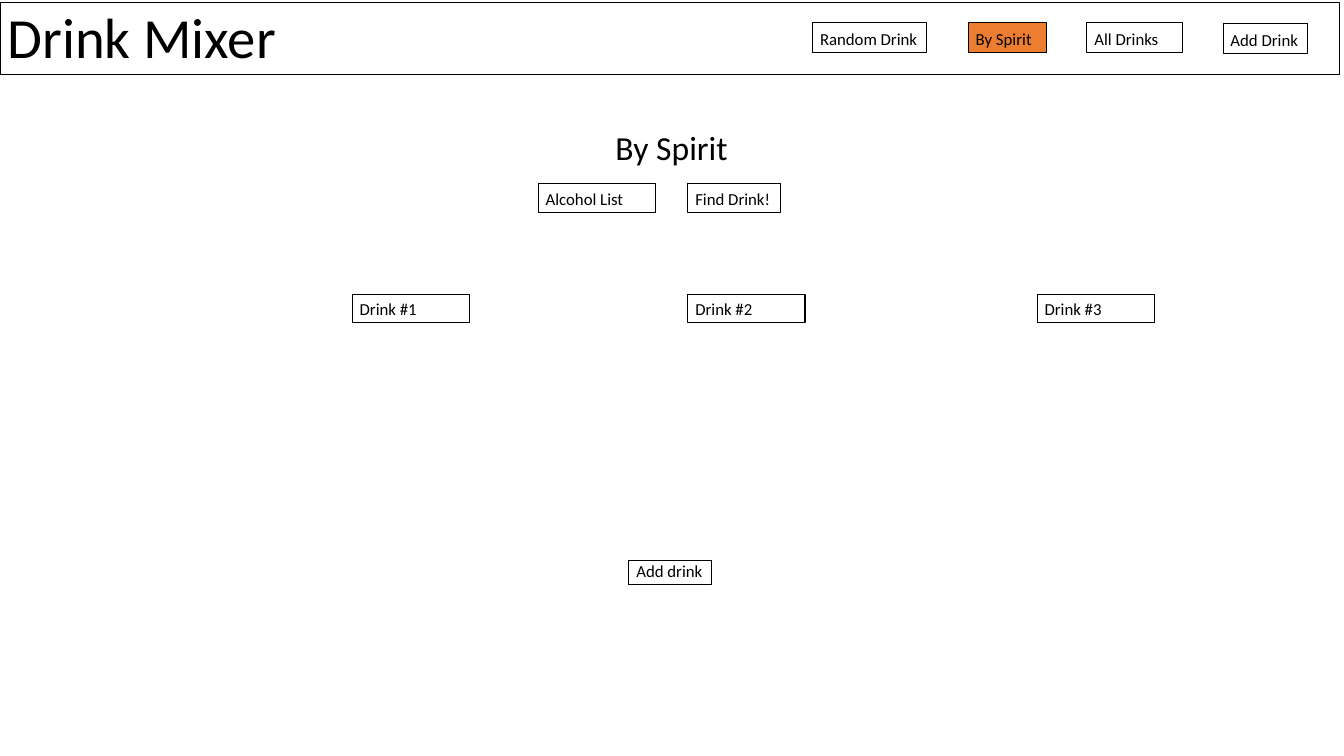
from pptx import Presentation
from pptx.dml.color import RGBColor
from pptx.enum.shapes import MSO_SHAPE as Shape
from pptx.enum.text import MSO_ANCHOR as Anchor, MSO_AUTO_SIZE as AutoSize, PP_ALIGN as Align
from pptx.util import Inches, Pt

COLORS = {"text": "000000", "line": "000000", "plain": "FFFFFF", "active": "ED7D31"}
FONT = "Calibri"


def write(box, text, size, align, anchor):
    frame = box.text_frame
    frame.text = text
    frame.word_wrap = True
    frame.auto_size = AutoSize.NONE
    frame.vertical_anchor = anchor
    para = frame.paragraphs[0]
    para.alignment = align
    para.line_spacing = 0.9
    para.space_before = Pt(0)
    font = para.runs[0].font
    font.name = FONT
    font.size = Pt(size)
    font.color.rgb = RGBColor.from_string(COLORS["text"])


def paint(box, fill):
    box.fill.solid()
    box.fill.fore_color.rgb = RGBColor.from_string(COLORS[fill])
    box.line.color.rgb = RGBColor.from_string(COLORS["line"])
    box.line.width = Pt(1)


deck = Presentation()
deck.slide_width, deck.slide_height = Inches(17.78), Inches(10)
page = deck.slides.add_slide(deck.slide_layouts[0])

# Header bar
header = page.shapes.title
header.left, header.top = Inches(0), Inches(0.03)
header.width, header.height = Inches(17.72), Inches(0.96)
paint(header, "plain")
write(header, "Drink Mixer", 54, Align.JUSTIFY, Anchor.BOTTOM)

# Page heading, set down inside the content area
heading = page.placeholders[1]
heading.left, heading.top = Inches(2.22), Inches(0.98)
heading.width, heading.height = Inches(13.33), Inches(9.02)
write(heading, "By Spirit", 32, Align.CENTER, Anchor.TOP)
heading.text_frame.margin_top = Inches(0.76)

# Buttons: label, left, top, width, height, fill
buttons = [
    # Navigation
    ("Random Drink", 10.75, 0.3, 1.51, 0.4, "plain"),
    ("By Spirit", 12.81, 0.3, 1.03, 0.4, "active"),
    ("All Drinks", 14.38, 0.3, 1.26, 0.4, "plain"),
    ("Add Drink", 16.18, 0.31, 1.12, 0.4, "plain"),
    # Search
    ("Find Drink!", 9.1, 2.43, 1.22, 0.38, "plain"),
    ("Alcohol List", 7.12, 2.43, 1.55, 0.38, "plain"),
    # Add
    ("Add drink", 8.32, 7.42, 1.09, 0.31, "plain"),
]
# Results
for number, left in enumerate((4.66, 9.1, 13.72), start=1):
    buttons.append((f"Drink #{number}", left, 3.89, 1.55, 0.38, "plain"))

for label, left, top, width, height, fill in buttons:
    button = page.shapes.add_shape(
        Shape.RECTANGLE, Inches(left), Inches(top), Inches(width), Inches(height))
    button.shadow.inherit = False
    paint(button, fill)
    write(button, label, 16, Align.JUSTIFY, Anchor.BOTTOM)

deck.save("out.pptx")
